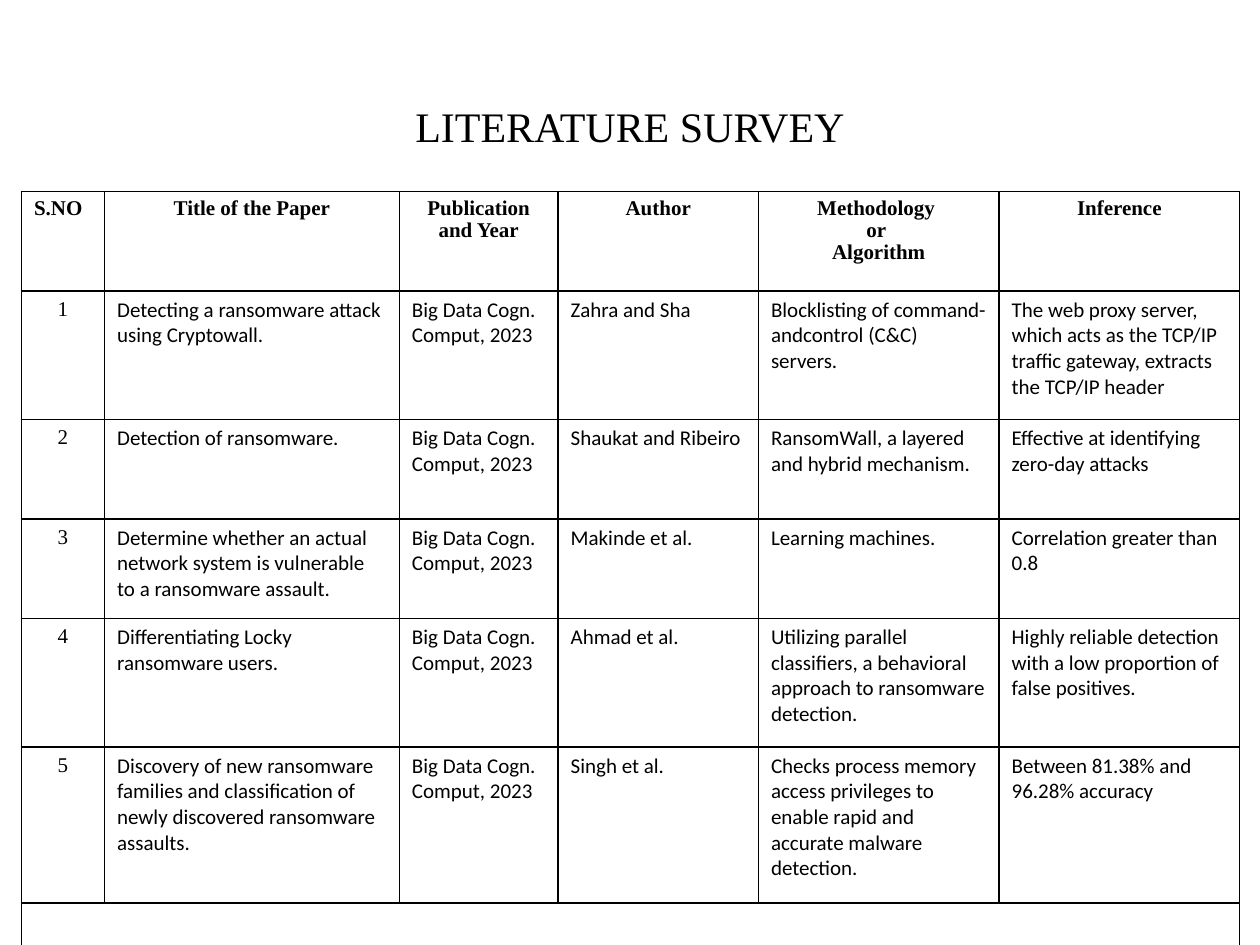
from lxml import etree
from pptx import Presentation
from pptx.dml.color import RGBColor
from pptx.enum.text import MSO_ANCHOR, PP_ALIGN
from pptx.oxml.ns import qn
from pptx.util import Inches, Pt

CENTER, LEFT = PP_ALIGN.CENTER, PP_ALIGN.LEFT
MIDDLE = MSO_ANCHOR.MIDDLE
SERIF, SANS = "Times New Roman", "Calibri"
BLACK = "000000"
SIDES = ("L", "R", "T", "B")

COL_WIDTHS = [0.66, 2.34, 1.26, 1.59, 1.91, 1.91]
ROW_HEIGHTS = [0.79, 1.02, 0.79, 0.79, 1.02, 1.24, 0.34]
HEADERS = ["S.NO", "Title of the Paper", "Publication and Year", "Author",
           "Methodology \nor \nAlgorithm", "Inference"]
PUBLICATION = "Big Data Cogn. Comput, 2023"
PAPERS = [  # title, author, methodology, inference
    ("Detecting a ransomware attack using Cryptowall.", "Zahra and Sha",
     "Blocklisting of command-andcontrol (C&C) servers.",
     "The web proxy server, which acts as the TCP/IP traffic gateway, "
     "extracts the TCP/IP header"),
    ("Detection of ransomware.", "Shaukat and Ribeiro",
     "RansomWall, a layered and hybrid mechanism.",
     "Effective at identifying zero-day attacks"),
    ("Determine whether an actual network system is vulnerable to a "
     "ransomware assault.", "Makinde et al.",
     "Learning machines.", "Correlation greater than 0.8"),
    ("Differentiating Locky ransomware users.", "Ahmad et al.",
     "Utilizing parallel classifiers, a behavioral approach to ransomware "
     "detection.",
     "Highly reliable detection with a low proportion of false positives."),
    ("Discovery of new ransomware families and classification of newly "
     "discovered ransomware assaults.", "Singh et al.",
     "Checks process memory access privileges to enable rapid and accurate "
     "malware detection.",
     "Between 81.38% and 96.28% accuracy"),
]


def color(hex_string):
    return RGBColor.from_string(hex_string)


def write(tf, text, font, size, align=LEFT, bold=False, spacing=None):
    """Fill a text frame, one paragraph for each line of text."""
    for i, line in enumerate(text.split("\n")):
        p = tf.add_paragraph() if i else tf.paragraphs[0]
        p.alignment = align
        if spacing:
            p.line_spacing = spacing
        r = p.add_run()
        r.text = line
        r.font.name, r.font.size, r.font.bold = font, Pt(size), bold
        r.font.color.rgb = color(BLACK)


def set_borders(cell, hidden=""):
    """Draw thin black borders, except on the hidden side."""
    tc_pr = cell._tc.get_or_add_tcPr()
    for i, side in enumerate(SIDES):
        ln = etree.Element(qn("a:ln" + side), w=str(Pt(1)))
        if side == hidden:
            etree.SubElement(ln, qn("a:noFill"))
        else:
            fill = etree.SubElement(ln, qn("a:solidFill"))
            etree.SubElement(fill, qn("a:srgbClr"), val=BLACK)
        tc_pr.insert(i, ln)


def add_title(s, left, top, width, height):
    tf = s.shapes.add_textbox(left, top, width, height).text_frame
    tf.word_wrap = True
    tf.vertical_anchor = MIDDLE
    tf.margin_left = tf.margin_right = tf.margin_top = tf.margin_bottom = 0
    write(tf, "LITERATURE SURVEY", SERIF, 24, CENTER)


def add_survey_table(s, left, top, width, height):
    table = s.shapes.add_table(len(ROW_HEIGHTS), len(COL_WIDTHS),
                               left, top, width, height).table
    table.first_row = table.horz_banding = False
    for column, w in zip(table.columns, COL_WIDTHS):
        column.width = Inches(w)
    for row, h in zip(table.rows, ROW_HEIGHTS):
        row.height = Inches(h)

    for c, header in enumerate(HEADERS):
        write(table.cell(0, c).text_frame, header, SERIF, 12,
              CENTER if c else LEFT, bold=True, spacing=0.95)
    for n, (title, *details) in enumerate(PAPERS, 1):
        write(table.cell(n, 0).text_frame, str(n), SERIF, 12, CENTER)
        for c, text in enumerate([title, PUBLICATION, *details], 1):
            write(table.cell(n, c).text_frame, text, SANS, 12)

    last = len(ROW_HEIGHTS) - 1
    for r, row in enumerate(table.rows):
        for c, cell in enumerate(row.cells):
            cell.fill.background()
            hidden = {0: "R", 1: "L"}.get(c, "") if r == last else ""
            set_borders(cell, hidden)
            if r == last:
                cell.margin_top = cell.margin_bottom = 0
    table.cell(last, 1).merge(table.cell(last, len(COL_WIDTHS) - 1))


def main():
    prs = Presentation()
    prs.slide_width, prs.slide_height = Inches(10), Inches(7.5)
    s = prs.slides.add_slide(prs.slide_layouts[6])
    add_title(s, Inches(0.5), Inches(0.5), Inches(9), Inches(1))
    add_survey_table(s, Inches(0.17), Inches(1.52), Inches(9.66), Inches(5.98))
    prs.save("out.pptx")


if __name__ == "__main__":
    main()
